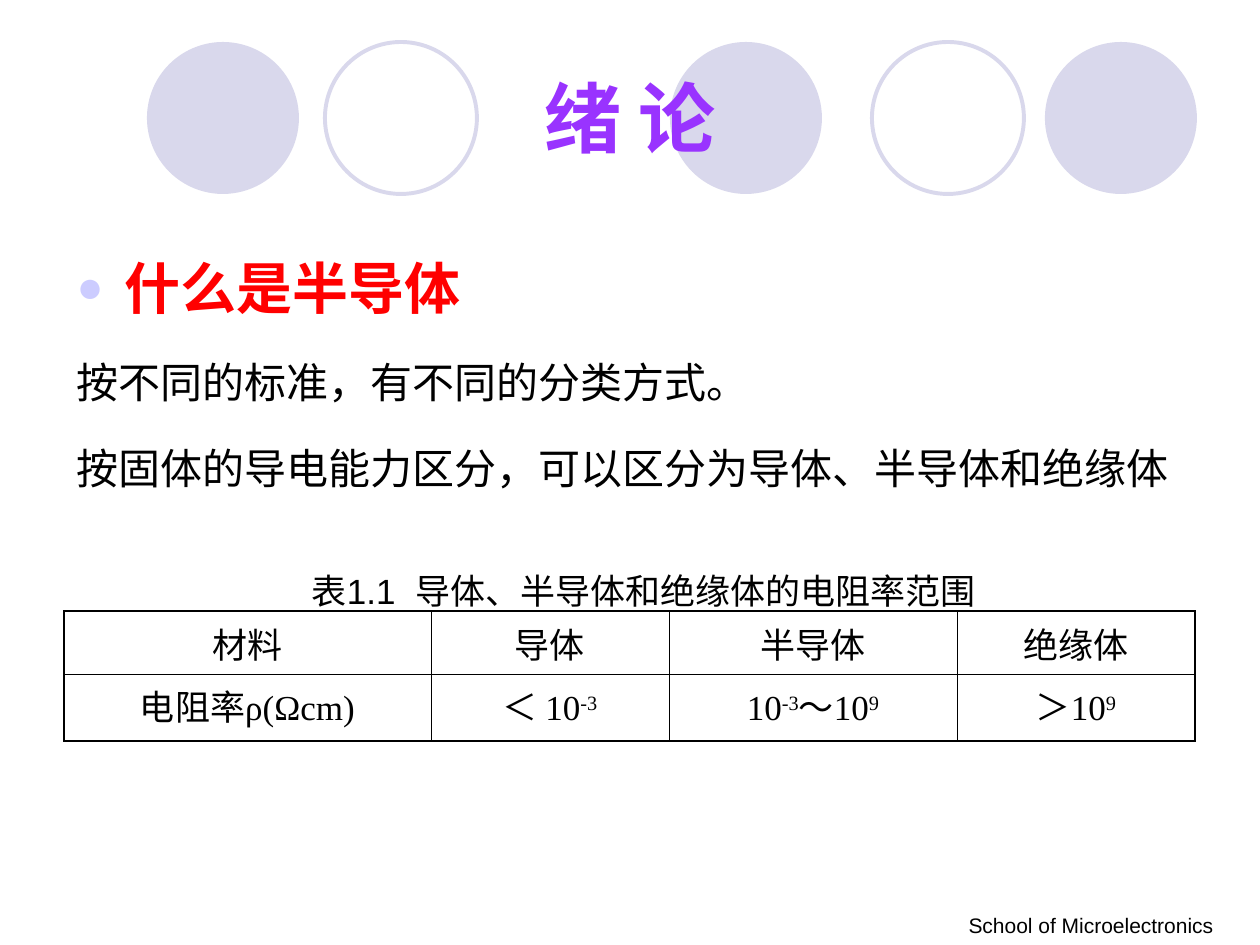
from lxml import etree
from pptx import Presentation
from pptx import util as u
from pptx.dml.color import RGBColor
from pptx.enum import shapes, text
from pptx.oxml.ns import qn

PX = 914400 // 126
BLACK, LILAC = "000000", "D9D8EC"

TITLE = "绪 论"
FOOTER = "School of Microelectronics"
BODY = [
    dict(text="什么是半导体", size=32, color="FF0000", bold=True, before=8, spacing=1.5, bullet="CCCCFF"),
    dict(text="按不同的标准，有不同的分类方式。", size=24, before=6, spacing=1.5),
    dict(text="按固体的导电能力区分，可以区分为导体、半导体和绝缘体", size=24, before=6, spacing=1.5),
    dict(text="表1.1  导体、半导体和绝缘体的电阻率范围", size=20, before=5, spacing=2.6, align="CENTER"),
]
ROWS = [
    ["材料", "导体", "半导体", "绝缘体"],
    ["电阻率ρ(Ωcm)", "＜ 10^-3", "10^-3^～10^9", "＞10^9"],
]
COL_WIDTHS = [367, 238, 288, 238]
ROW_HEIGHTS = [63, 67]
CIRCLES = [(147, True), (325, False), (670, True), (872, False), (1045, True)]
CIRCLE_TOP, CIRCLE_SIZE = 42, 152


def px(*values):
    return [u.Emu(v * PX) for v in values]


def rgb(color):
    return RGBColor.from_string(color)


def place(sp, *box):
    sp.left, sp.top, sp.width, sp.height = px(*box)


def style(p, size, color=BLACK, font="Arial", bold=False, align="LEFT", before=0):
    p.font.size, p.font.name, p.font.bold = u.Pt(size), font, bold
    p.font.color.rgb = rgb(color)
    p.alignment = text.PP_ALIGN[align]
    p.space_before = u.Pt(before)


def set_bullet(p, color):
    pPr = p._p.get_or_add_pPr()
    pPr.set("marL", str(48 * PX))
    pPr.set("indent", str(-48 * PX))
    items = []
    if color:
        clr = etree.Element(qn("a:buClr"))
        etree.SubElement(clr, qn("a:srgbClr"), val=color)
        items = [clr, etree.Element(qn("a:buSzPct"), val="80000"),
                 etree.Element(qn("a:buChar"), char="●")]
    else:
        items = [etree.Element(qn("a:buNone"))]
    defaults = pPr.find(qn("a:defRPr"))
    for item in items:
        defaults.addprevious(item)


def set_borders(cell, heavy):
    tcPr = cell._tc.get_or_add_tcPr()
    for side in "LRTB":
        width = u.Pt(1.08 if side in heavy else 0.45)
        ln = etree.SubElement(tcPr, qn(f"a:ln{side}"), w=str(width))
        fill = etree.SubElement(ln, qn("a:solidFill"))
        etree.SubElement(fill, qn("a:srgbClr"), val=BLACK)


def fill_cell(cell, content, heavy):
    p = cell.text_frame.paragraphs[0]
    for i, part in enumerate(content.split("^")):
        r = p.add_run()
        r.text = part
        if i % 2:
            r._r.get_or_add_rPr().set("baseline", "30000")
    style(p, 20, font="Times New Roman", align="CENTER", before=5)
    cell.margin_left = cell.margin_right = u.Inches(0.1)
    set_borders(cell, heavy)
    cell.fill.background()


def add_circles(s):
    for i, (left, solid) in enumerate(CIRCLES):
        sp = s.shapes.add_shape(shapes.MSO_SHAPE.OVAL, *px(left, CIRCLE_TOP, CIRCLE_SIZE, CIRCLE_SIZE))
        sp.shadow.inherit = False
        if solid:
            sp.fill.solid()
            sp.fill.fore_color.rgb = rgb(LILAC)
            sp.line.fill.background()
        else:
            sp.fill.background()
            sp.line.color.rgb = rgb(LILAC)
            sp.line.width = u.Pt(2.25)
        s.shapes._spTree.insert(2 + i, sp._element)


def add_footer(s):
    tf = s.shapes.add_textbox(*px(6, 906, 1220, 38)).text_frame
    tf.word_wrap = True
    tf.text = FOOTER
    style(tf.paragraphs[0], 12, align="RIGHT", before=7.5)


def fill_placeholders(s):
    title, body = s.placeholders
    place(title, 63, 38, 1134, 157)
    title.text_frame.text = TITLE
    title.text_frame.vertical_anchor = text.MSO_ANCHOR.MIDDLE
    style(title.text_frame.paragraphs[0], 44, "9933FF", bold=True, align="CENTER")

    place(body, 64, 214, 1160, 625)
    tf = body.text_frame
    tf.auto_size = text.MSO_AUTO_SIZE.NONE
    tf.text = "\n".join(item["text"] for item in BODY)
    for p, item in zip(tf.paragraphs, BODY):
        style(p, item["size"], item.get("color", BLACK), bold=item.get("bold", False),
              align=item.get("align", "LEFT"), before=item["before"])
        p.line_spacing = item["spacing"]
        set_bullet(p, item.get("bullet"))


def add_table(s):
    box = px(64, 611, sum(COL_WIDTHS), sum(ROW_HEIGHTS))
    table = s.shapes.add_table(len(ROWS), len(COL_WIDTHS), *box).table
    table.first_row = table.horz_banding = False
    for col, width in zip(table.columns, px(*COL_WIDTHS)):
        col.width = width
    for row, height in zip(table.rows, px(*ROW_HEIGHTS)):
        row.height = height
    for i, row in enumerate(ROWS):
        for j, content in enumerate(row):
            edges = {"T": i == 0, "B": i == len(ROWS) - 1, "L": j == 0, "R": j == len(row) - 1}
            fill_cell(table.cell(i, j), content, [side for side in edges if edges[side]])


def main():
    prs = Presentation()
    prs.slide_width, prs.slide_height = px(1260, 945)
    s = prs.slides.add_slide(prs.slide_layouts[1])
    fill_placeholders(s)
    add_circles(s)
    add_footer(s)
    add_table(s)
    prs.save("out.pptx")


if __name__ == "__main__":
    main()
